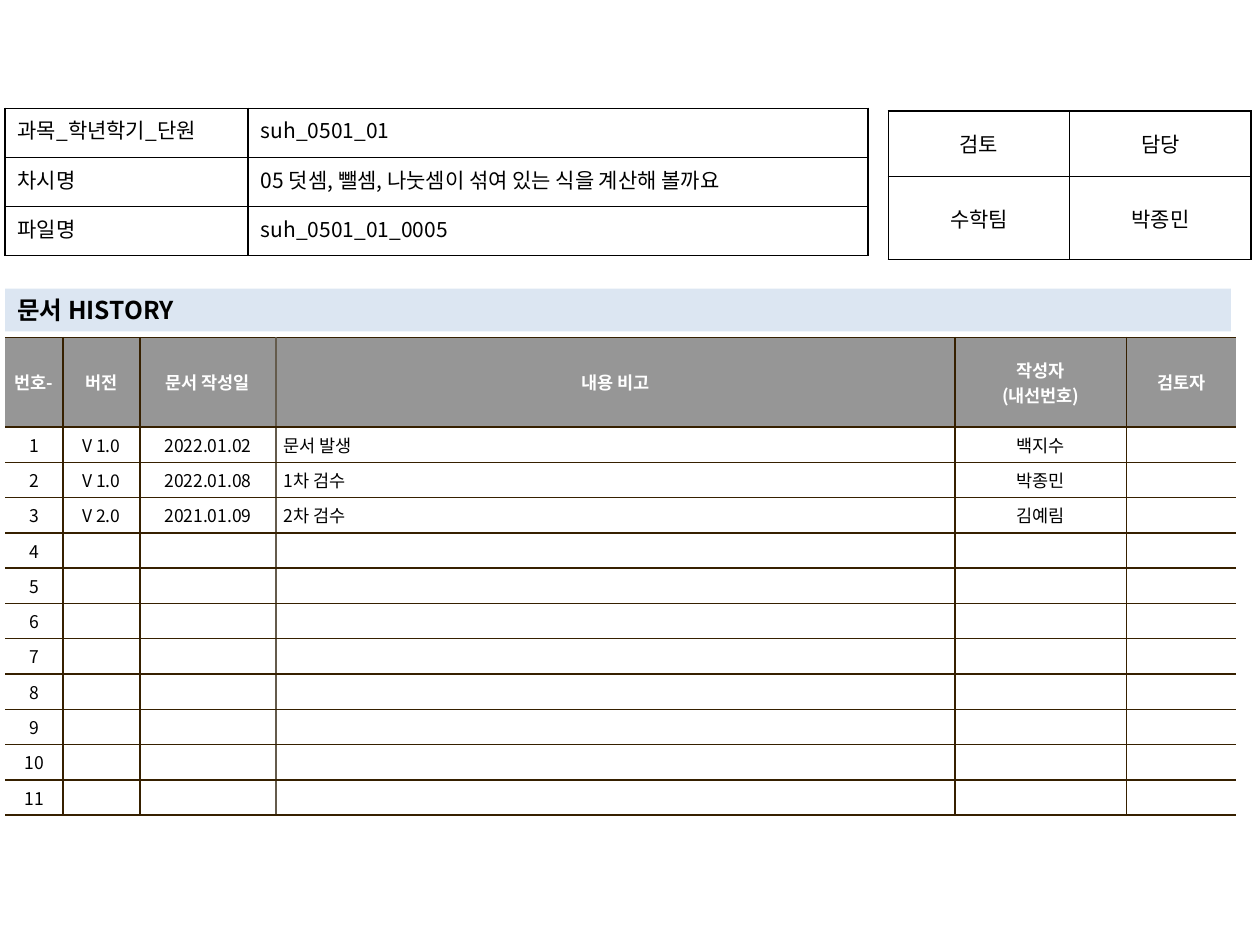
import pptx
import pptx.dml.color
import pptx.enum.shapes
import pptx.enum.text
import pptx.oxml
import pptx.oxml.ns
import pptx.util
from lxml import etree

Inches = pptx.util.Inches
Pt = pptx.util.Pt
RGBColor = pptx.dml.color.RGBColor
qn = pptx.oxml.ns.qn
ALIGN = pptx.enum.text.PP_ALIGN
ANCHOR = pptx.enum.text.MSO_ANCHOR

FONT = "Noto Sans CJK KR"
BLACK = RGBColor(0x00, 0x00, 0x00)
WHITE = RGBColor(0xFF, 0xFF, 0xFF)
HEADER_GRAY = RGBColor(0x96, 0x96, 0x96)
BAND_BLUE = RGBColor(0xDC, 0xE6, 0xF2)
BROWN = RGBColor(0x36, 0x20, 0x00)
TAUPE = RGBColor(0x64, 0x5B, 0x4C)
NO_STYLE = "{2D5ABB26-0587-4C30-8999-92F81FD0307C}"


def style_text(paragraph, size, color=BLACK, bold=False, align=ALIGN.LEFT):
    paragraph.alignment = align
    font = paragraph.font
    font.name, font.size, font.bold = FONT, Pt(size), bold
    font.color.rgb = color
    defaults = paragraph._p.pPr.find(qn("a:defRPr"))
    etree.SubElement(defaults, qn("a:ea"), typeface=FONT)
    if not paragraph.text:  # keeps empty cells from stretching their row
        paragraph._p.get_or_add_endParaRPr().set("sz", str(size * 100))


def add_grid(left, top, widths, heights, texts, margins, borders):
    """Add an unstyled table; borders(column) gives the colour of each side."""
    grid = slide.shapes.add_table(
        len(heights), len(widths), Inches(left), Inches(top),
        Inches(sum(widths)), Inches(sum(heights))).table
    grid._tbl.tblPr.find(qn("a:tableStyleId")).text = NO_STYLE
    grid.first_row = grid.horz_banding = False
    for column, width in zip(grid.columns, widths):
        column.width = Inches(width)
    for r, height in enumerate(heights):
        grid.rows[r].height = Inches(height)
        for c in range(len(widths)):
            cell = grid.cell(r, c)
            cell.text = texts[r][c]
            cell.margin_left = cell.margin_right = Inches(margins[0])
            cell.margin_top = cell.margin_bottom = Inches(margins[1])
            cell.fill.background()
            sides = [(s, color) for s, color in borders(c).items() if color is not None]
            for i, (side, color) in enumerate(sides):
                line = etree.Element(qn("a:ln" + side), w=str(Pt(1)))
                solid = etree.SubElement(line, qn("a:solidFill"))
                etree.SubElement(solid, qn("a:srgbClr"), val=str(color))
                cell._tc.get_or_add_tcPr().insert(i, line)
    return grid


prs = pptx.Presentation()
prs.slide_width, prs.slide_height = Inches(10), Inches(7.5)
slide = prs.slides.add_slide(prs.slide_layouts[6])

# Document history table
headers = ["번호-", "버전", "문서 작성일", "내용 비고", "작성자\n(내선번호)", "검토자"]
entries = [
    ["V 1.0", "2022.01.02", "문서 발생", "백지수", ""],
    ["V 1.0", "2022.01.08", "1차 검수", "박종민", ""],
    ["V 2.0", "2021.01.09", "2차 검수", "김예림", ""],
]
ENTRY_ROWS = 11
entries += [[""] * 5 for _ in range(ENTRY_ROWS - len(entries))]
NOTE_COLUMN = 3
LAST_COLUMN = len(headers) - 1


def history_borders(column):
    left = TAUPE if column == NOTE_COLUMN else BROWN
    right = TAUPE if column == NOTE_COLUMN - 1 else BROWN
    return {"L": left if column > 0 else None,
            "R": right if column < LAST_COLUMN else None,
            "T": BROWN, "B": BROWN}


history = add_grid(
    0.04, 2.68, [0.46, 0.61, 1.08, 5.39, 1.36, 0.87], [0.71] + [0.28] * ENTRY_ROWS,
    [headers] + [[str(n), *entry] for n, entry in enumerate(entries, 1)],
    (0.06, 0.04), history_borders)
for r, row in enumerate(history.rows):
    is_header = r == 0
    for c, cell in enumerate(row.cells):
        cell.vertical_anchor = ANCHOR.MIDDLE
        cell.fill.solid()
        cell.fill.fore_color.rgb = HEADER_GRAY if is_header else WHITE
        is_note = c == NOTE_COLUMN and not is_header
        for paragraph in cell.text_frame.paragraphs:
            style_text(paragraph, 10, WHITE if is_header else BLACK, is_header,
                       ALIGN.LEFT if is_note else ALIGN.CENTER)

# Review table
black_box = dict.fromkeys("LRTB", BLACK)
review = add_grid(7.05, 0.88, [1.44, 1.44], [0.52, 0.66],
                  [["검토", "담당"], ["수학팀", "박종민"]],
                  (0.1, 0.05), lambda column: black_box)
for cell in review.iter_cells():
    cell.vertical_anchor = ANCHOR.MIDDLE
    style_text(cell.text_frame.paragraphs[0], 12, align=ALIGN.CENTER)

# History heading band
heading = slide.shapes.add_shape(
    pptx.enum.shapes.MSO_SHAPE.RECTANGLE,
    Inches(0.04), Inches(2.29), Inches(9.73), Inches(0.34))
heading.shadow.inherit = False
heading.fill.solid()
heading.fill.fore_color.rgb = BAND_BLUE
heading.line.fill.background()
heading.text_frame.text = "문서 HISTORY"
heading.text_frame.word_wrap = True
style_text(heading.text_frame.paragraphs[0], 14, bold=True)

# Lesson information table
lesson = add_grid(
    0.04, 0.86, [1.93, 4.92], [0.39] * 3,
    [["과목_학년학기_단원", "suh_0501_01"],
     ["차시명", "05 덧셈, 뺄셈, 나눗셈이 섞여 있는 식을 계산해 볼까요"],
     ["파일명", "suh_0501_01_0005"]],
    (0.1, 0.05), lambda column: black_box)
for row in lesson.rows:
    for cell, align in zip(row.cells, [ALIGN.JUSTIFY, ALIGN.LEFT]):
        style_text(cell.text_frame.paragraphs[0], 12, align=align)

prs.save("out.pptx")
